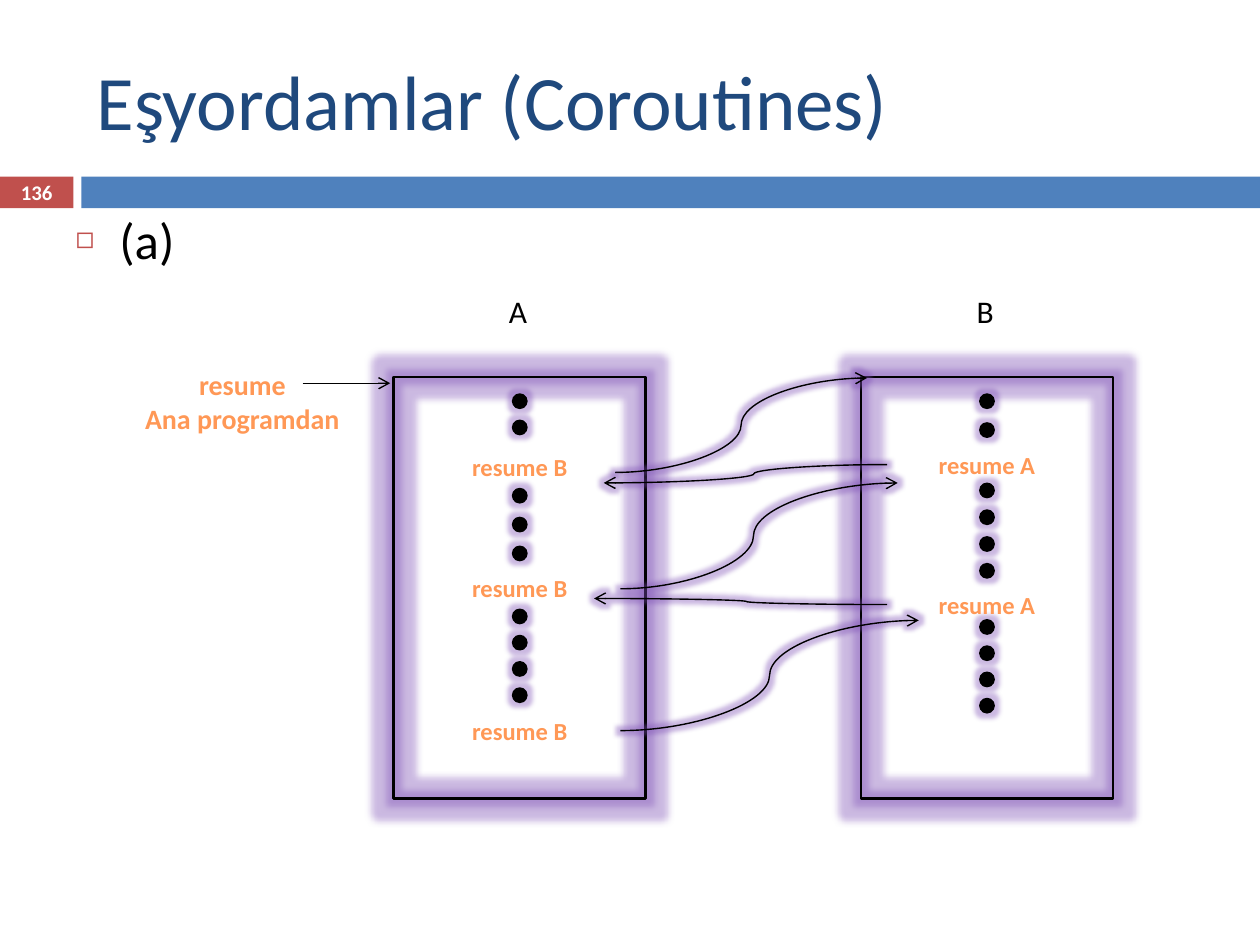
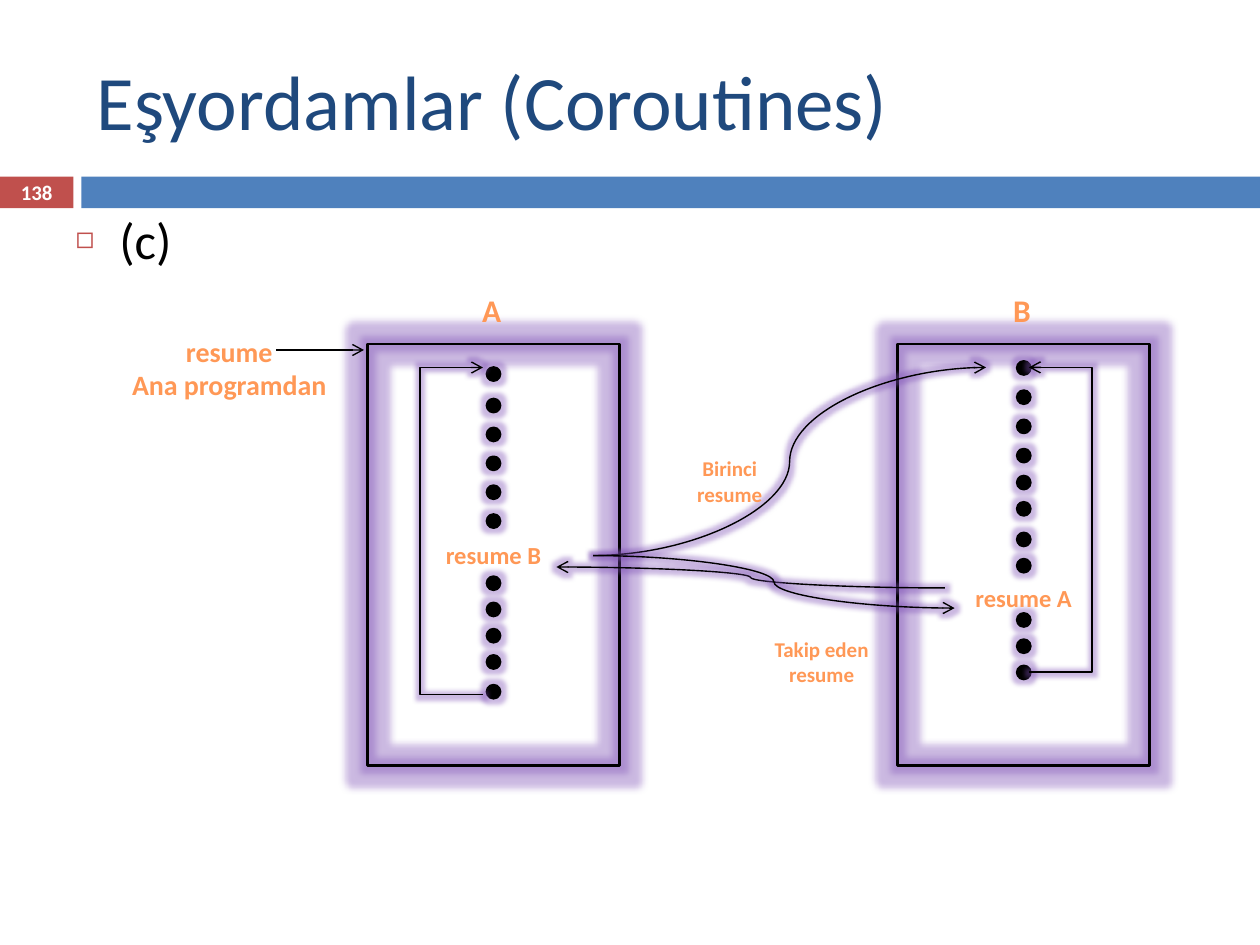
import pptx
import pptx.util
import pptx.dml.color
import pptx.enum.shapes
import pptx.enum.text
import pptx.oxml.ns
from lxml import etree

Pt = pptx.util.Pt
qn = pptx.oxml.ns.qn
KIND = pptx.enum.shapes.MSO_SHAPE
WIRE = pptx.enum.shapes.MSO_CONNECTOR
ALIGN = pptx.enum.text.PP_ALIGN
ANCHOR = pptx.enum.text.MSO_ANCHOR

# Shared look
FONT = "Calibri"
BLACK, WHITE = "000000", "FFFFFF"
NAVY, BLUE, RED = "1F497D", "4F81BD", "C0504D"
ORANGE, PURPLE = "FF9856", "7E50B6"
BOX_W, BOX_H, DOT = 144, 241, 7.5
THIN, THICK = 0.79, 1.5


def rgb(code):
    return pptx.dml.color.RGBColor.from_string(code)


def node(parent, tag, **attrs):
    item = etree.SubElement(parent, qn("a:" + tag))
    for key, value in attrs.items():
        item.set(key, str(value))
    return item


def place(shape, box):
    shape.left, shape.top, shape.width, shape.height = map(Pt, box)
    return shape


def write(shape, text, size=14, color=ORANGE, bold=False, align=ALIGN.CENTER,
          anchor=ANCHOR.TOP):
    """Fill a shape with text, one paragraph per line."""
    frame = shape.text_frame
    frame.word_wrap = True
    frame.auto_size = pptx.enum.text.MSO_AUTO_SIZE.NONE
    frame.vertical_anchor = anchor
    frame.text = text
    for para in frame.paragraphs:
        para.alignment = align
        para.space_before = Pt(0)
        font = para.runs[0].font
        font.name, font.size, font.bold = FONT, Pt(size), bold
        font.color.rgb = rgb(color)
    return frame


def label(slide, box, text, **style):
    area = slide.shapes.add_textbox(*map(Pt, box))
    return write(area, text, **style)


def glow(effects, radius):
    halo = node(effects, "glow", rad=Pt(radius))
    tint = node(halo, "srgbClr", val=PURPLE)
    node(tint, "alpha", val=40000)


def arrow(line):
    node(line._get_or_add_ln(), "tailEnd", type="arrow")


def shape(slide, kind, box, fill=None, line=None, width=THICK, halo=0):
    item = slide.shapes.add_shape(kind, *map(Pt, box))
    item.shadow.inherit = False
    if fill:
        item.fill.solid()
        item.fill.fore_color.rgb = rgb(fill)
    else:
        item.fill.background()
    if line:
        item.line.color.rgb = rgb(line)
        item.line.width = Pt(width)
    else:
        item.line.fill.background()
    if halo:
        glow(item._element.spPr.find(qn("a:effectLst")), halo)
    return item


def link(slide, start, end, kind=WIRE.CURVE, bend=0.5, halo=5):
    """Draw an arrow from start to end; bend is where a curve turns."""
    item = slide.shapes.add_connector(kind, *map(Pt, start + end))
    item.line.color.rgb = rgb(BLACK)
    item.line.width = Pt(THIN)
    arrow(item.line)
    props = item._element.spPr
    if bend != 0.5:
        node(props.find(".//" + qn("a:avLst")), "gd", name="adj1",
             fmla=f"val {round(bend * 100000)}")
    effects = node(props, "effectLst")
    if halo:
        glow(effects, halo)


def base(deck, number, part):
    """Title, bands, slide number and the bullet that names the part."""
    slide = deck.slides.add_slide(deck.slide_layouts[1])
    shape(slide, KIND.RECTANGLE, (0, 101, 42, 18), fill=RED)
    shape(slide, KIND.RECTANGLE, (46.5, 101, 673.5, 18), fill=BLUE)
    title, body = slide.placeholders
    write(place(title, (48, 18, 642, 78)), "Eşyordamlar (Coroutines)", size=44,
          color=NAVY, align=ALIGN.LEFT, anchor=ANCHOR.MIDDLE)
    label(slide, (0, 100, 42, 20), str(number), size=11.9, color=WHITE,
          bold=True, anchor=ANCHOR.MIDDLE)
    frame = write(place(body, (36, 115.5, 648, 414)), part, size=29,
                  color=BLACK, align=ALIGN.LEFT)
    props = frame.paragraphs[0]._p.get_or_add_pPr()
    props.set("marL", str(Pt(25)))
    props.set("indent", str(Pt(-25)))
    node(node(props, "buClr"), "srgbClr", val=RED)
    node(props, "buSzPct", val=60000)
    node(props, "buChar", char="◻")
    return slide


def unit(slide, left, top, name, rise, dots, calls, **style):
    """One routine: frame, heading, runs of dots (start, gap, count), calls."""
    shape(slide, KIND.RECTANGLE, (left, top, BOX_W, BOX_H), line=BLACK, halo=8)
    label(slide, (left - 1, top - rise, BOX_W, 29), name, size=18, **style)
    x = left + (BOX_W - DOT) / 2
    for start, gap, count in dots:
        for i in range(count):
            shape(slide, KIND.OVAL, (x, top + start + i * gap, DOT, DOT),
                  fill=BLACK, line=BLACK, halo=5)
    other = "B" if name == "A" else "A"
    for y in calls:
        label(slide, (left + 15, top + y, 114, 24.5), f"resume {other}", bold=True)


def entry(slide, left, top, shift):
    """The call from the main program, left of routine A."""
    label(slide, (left - shift, top - 9, 150, 46), "resume\nAna programdan",
          size=16, bold=True)
    link(slide, (left - 52, top + 3.5), (left - 2, top + 3.5),
         kind=WIRE.STRAIGHT, halo=0)


def wires(slide, left, top, paths):
    for x1, y1, x2, y2, bend in paths:
        link(slide, (left + x1, top + y1), (left + x2, top + y2), bend=bend)


def loop(slide, kind, box, flip=False):
    """Square arrow from the last dot back to the first."""
    item = shape(slide, kind, box, line=BLACK, width=THIN, halo=5)
    item.adjustments[0] = 0
    arrow(item.line)
    if flip:
        item._element.spPr.find(qn("a:xfrm")).set("flipV", "1")


def plain(deck):
    """Routines that hand control over several times."""
    slide = base(deck, 136, "(a)")
    left, top = 225, 215.5
    unit(slide, left, top, "A", 52, [(10, 15, 2), (64, 16.5, 3), (133, 15, 4)],
         [39.5, 108.5, 190], color=BLACK)
    unit(slide, left + 267, top, "B", 52,
         [(10, 16.5, 2), (61, 15.3, 4), (139, 15, 4)], [38, 118], color=BLACK)
    entry(slide, left, top, 161.5)
    wires(slide, left, top, [
        (126.5, 54.5, 270.5, 0.5, 0.5),
        (282, 50, 120, 60.5, 0.47),
        (129.5, 121, 288, 60.5, 0.48),
        (282, 130, 114.5, 126.5, 0.48),
        (129.5, 202, 300, 139, 0.5),
    ])


def looped(deck):
    """Routines with loops; the first call differs from later ones."""
    slide = base(deck, 138, "(c)")
    left, top = 210, 196.5
    unit(slide, left, top, "A", 34,
         [(13.5, 18, 2), (48, 16.5, 4), (133, 15, 4), (195, 0, 1)],
         [108.5], bold=True)
    unit(slide, left + 303, top, "B", 34,
         [(10, 16.7, 4), (75.5, 15, 2), (108, 15, 2), (154, 15, 3)],
         [133], bold=True)
    entry(slide, left, top, 154)
    wires(slide, left, top, [
        (129, 121, 353.5, 13.5, 0.5),
        (330, 139.5, 108, 127.5, 0.5),
        (129, 121, 335.5, 151, 0.5),
    ])
    for x, y, text in [(166, 60.5, "Birinci resume"),
                       (218.5, 163.5, "Takip eden resume")]:
        label(slide, (left + x, top + y, 82, 36), text, size=12, bold=True)
    loop(slide, KIND.RIGHT_BRACKET, (left + 378, top + 13.5, 36, 174), flip=True)
    loop(slide, KIND.LEFT_BRACKET, (left + 30, top + 13.5, 36, 187))


def main():
    deck = pptx.Presentation()
    deck.slide_width, deck.slide_height = Pt(720), Pt(540)
    plain(deck)
    looped(deck)
    deck.save("out.pptx")


if __name__ == "__main__":
    main()
